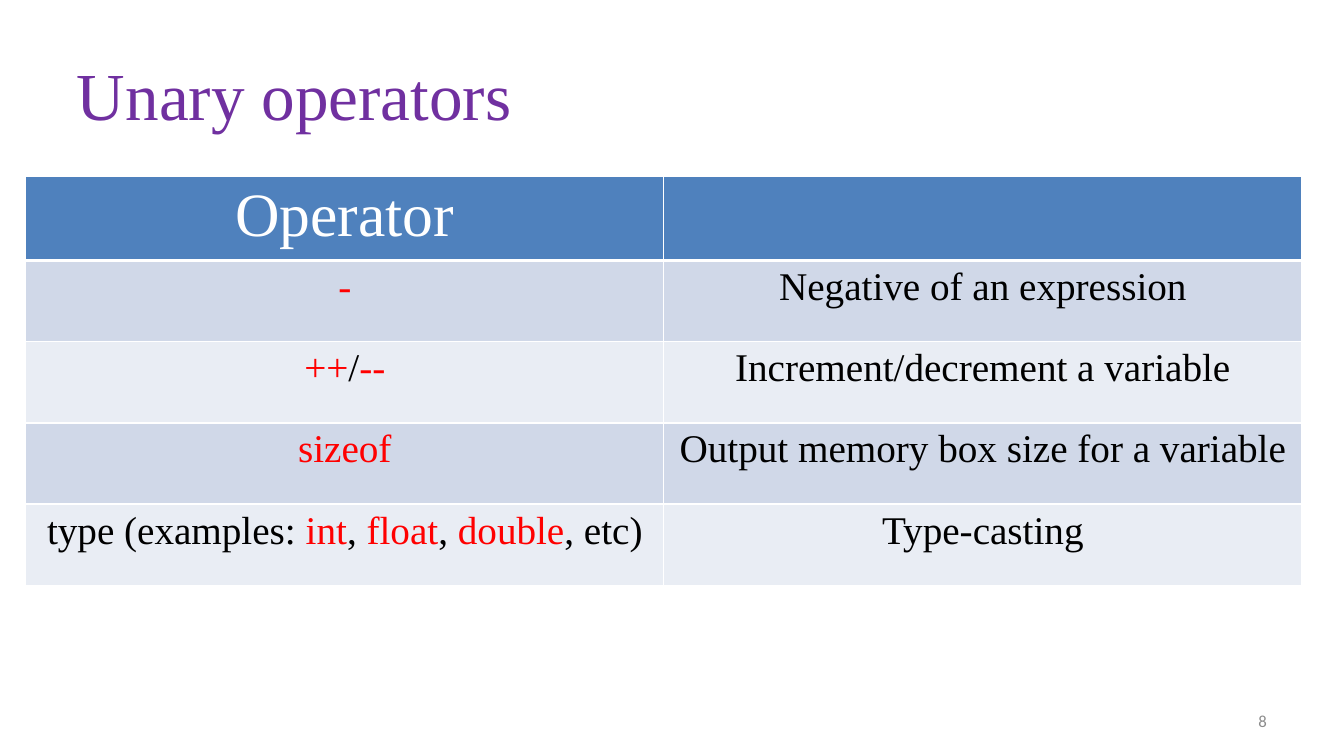
from typing import NamedTuple

from lxml import etree
from pptx import Presentation
from pptx import util as u
from pptx.dml.color import RGBColor
from pptx.enum import text
from pptx.oxml import ns

SERIF = "Times New Roman"
WHITE, BLACK, RED = "FFFFFF", "000000", "FF0000"
HEADER_FILL = "4F81BD"
BAND_FILLS = ("D0D8E8", "E9EDF4")
ROW_HEIGHT = 2.045
COLUMN_WIDTH = 16.08


class Run(NamedTuple):
    wording: str
    color: str = BLACK


class Label(NamedTuple):
    left: float
    top: float
    width: float
    height: float
    run: Run
    size: int
    font: str
    align: text.PP_ALIGN


class Operator(NamedTuple):
    symbol: list[Run]
    meaning: str


LABELS = [
    Label(1.69, 0.76, 30.48, 3.18, Run("Unary operators", "7030A0"), 48, SERIF,
          text.PP_ALIGN.LEFT),
    Label(24.28, 17.65, 7.9, 1.02, Run("8", "8C8C8C"), 12, "Calibri",
          text.PP_ALIGN.RIGHT),
]

OPERATORS = [
    Operator([Run("-", RED)], "Negative of an expression"),
    Operator([Run("++", RED), Run("/"), Run("--", RED)],
             "Increment/decrement a variable"),
    Operator([Run("sizeof", RED)], "Output memory box size for a variable"),
    Operator([Run("type (examples: "), Run("int", RED), Run(", "),
              Run("float", RED), Run(", "), Run("double", RED), Run(", etc)")],
             "Type-casting"),
]


def rgb(color: str) -> RGBColor:
    return RGBColor.from_string(color)


def write(paragraph, runs: list[Run], size: int, font: str,
          align: text.PP_ALIGN) -> None:
    paragraph.alignment = align
    paragraph.font.size = u.Pt(size)
    paragraph.font.name = font
    paragraph.font.bold = False
    for wording, color in runs:
        run = paragraph.add_run()
        run.text = wording
        # Repeated on the run so that it overrides the table style
        run.font.size = u.Pt(size)
        run.font.name = font
        run.font.bold = False
        run.font.color.rgb = rgb(color)


def add_label(slide, label: Label) -> None:
    box = slide.shapes.add_textbox(u.Cm(label.left), u.Cm(label.top),
                                   u.Cm(label.width), u.Cm(label.height))
    frame = box.text_frame
    frame.word_wrap = True
    frame.vertical_anchor = text.MSO_ANCHOR.MIDDLE
    write(frame.paragraphs[0], [label.run], label.size, label.font, label.align)


def set_borders(cell, bottom: float) -> None:
    properties = cell._tc.get_or_add_tcPr()
    for side, width in (("L", 1), ("R", 1), ("T", 1), ("B", bottom)):
        line = etree.SubElement(properties, ns.qn(f"a:ln{side}"),
                                w=str(u.Pt(width)))
        fill = etree.SubElement(line, ns.qn("a:solidFill"))
        etree.SubElement(fill, ns.qn("a:srgbClr"), val=WHITE)


def fill_cell(cell, runs: list[Run], size: int, fill: str,
              bottom: float = 1) -> None:
    set_borders(cell, bottom)
    cell.fill.solid()
    cell.fill.fore_color.rgb = rgb(fill)
    write(cell.text_frame.paragraphs[0], runs, size, SERIF,
          text.PP_ALIGN.CENTER)


def add_operator_table(slide) -> None:
    row_count = len(OPERATORS) + 1
    table = slide.shapes.add_table(
        row_count, 2, u.Cm(0.65), u.Cm(4.45),
        u.Cm(2 * COLUMN_WIDTH), u.Cm(row_count * ROW_HEIGHT)).table

    # Header row
    fill_cell(table.cell(0, 0), [Run("Operator", WHITE)], 44, HEADER_FILL, 3)
    fill_cell(table.cell(0, 1), [], 44, HEADER_FILL, 3)

    # Banded operator rows
    for row, operator in enumerate(OPERATORS, start=1):
        band = BAND_FILLS[(row - 1) % 2]
        fill_cell(table.cell(row, 0), operator.symbol, 28, band)
        fill_cell(table.cell(row, 1), [Run(operator.meaning)], 28, band)


def main() -> None:
    presentation = Presentation()
    presentation.slide_width = u.Cm(33.87)
    presentation.slide_height = u.Cm(19.05)
    slide = presentation.slides.add_slide(presentation.slide_layouts[6])

    # Title and page number
    for label in LABELS:
        add_label(slide, label)

    add_operator_table(slide)
    presentation.save("out.pptx")


if __name__ == "__main__":
    main()
